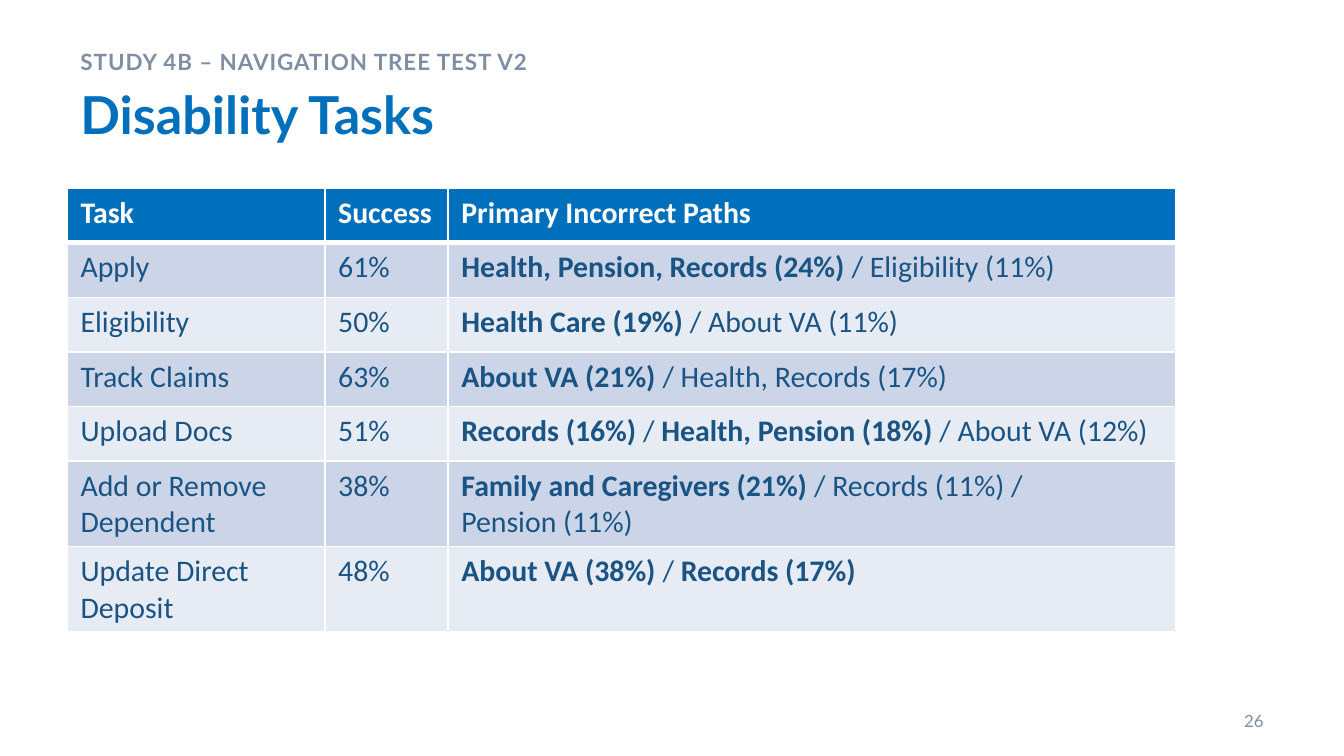
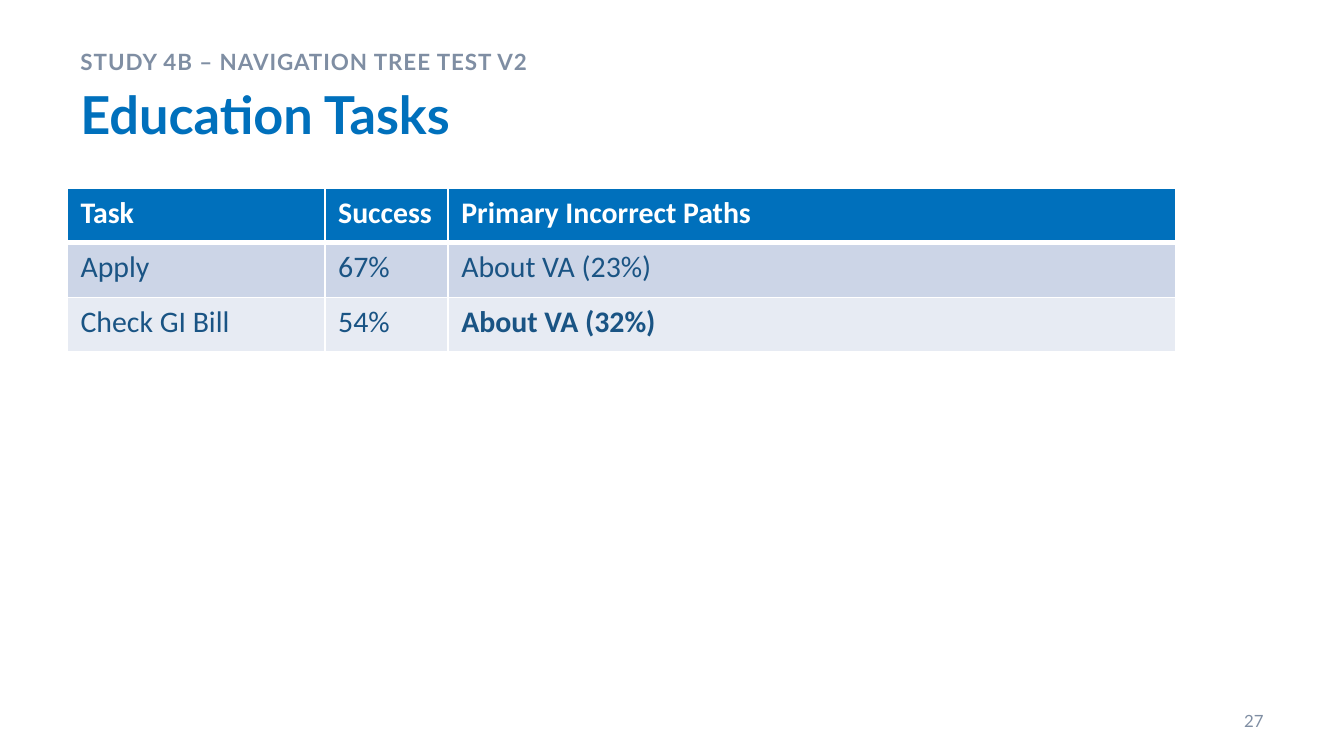
from lxml import etree
from pptx import Presentation
from pptx import util as u
from pptx.dml.color import RGBColor
from pptx.enum import text
from pptx.oxml import ns

BLUE, NAVY, GRAY, WHITE = "0070BC", "1A5484", "7F8EA3", "FFFFFF"
BANDS = ["CCD5E7", "E7EBF3"]
SECTION = "STUDY 4B – NAVIGATION TREE TEST V2"
HEADER = ["Task", "Success", "Primary Incorrect Paths"]
LEFT, WIDTH = 0.5, 8.25
COLUMN_PARTS = [23, 11, 65]
ROW_HEIGHT = 1.22 / 3

# Asterisks enclose the bold part of a cell; a line break starts a paragraph.
PAGES = [
    (26, "Disability Tasks", 3.29, [
        ["Apply", "61%", "*Health, Pension, Records (24%) */ Eligibility (11%)"],
        ["Eligibility", "50%", "*Health Care (19%) */ About VA (11%)"],
        ["Track Claims", "63%", "*About VA (21%) */ Health, Records (17%)"],
        ["Upload Docs", "51%",
         "*Records (16%) */ *Health, Pension (18%) */ About VA (12%)"],
        ["Add or Remove Dependent", "38%",
         "*Family and Caregivers (21%) */ Records (11%) /\nPension (11%)"],
        ["Update Direct Deposit", "48%", "*About VA (38%) */ *Records (17%)*"],
    ]),
    (27, "Education Tasks", 1.22, [
        ["Apply", "67%", "About VA (23%)"],
        ["Check GI Bill", "54%", "*About VA (32%)*"],
    ]),
]


def add_run(para, words, size, color, bold=False, font="Lato"):
    span = para.add_run()
    span.text = words
    span.font.name = font
    span.font.size = u.Pt(size)
    span.font.bold = bold
    span.font.color.rgb = RGBColor.from_string(color)
    return span


def add_box(page, left, top, width, height):
    """Add a wrapping text box and return its text frame."""
    box = page.shapes.add_textbox(*map(u.Inches, (left, top, width, height)))
    box.text_frame.word_wrap = True
    return box.text_frame


deck = Presentation()
deck.slide_width, deck.slide_height = u.Inches(10), u.Inches(10 * 9 / 16)

for number, title, table_height, tasks in PAGES:
    page = deck.slides.add_slide(deck.slide_layouts[6])

    title_frame = add_box(page, LEFT, 0.56, WIDTH, 0.69)
    add_run(title_frame.paragraphs[0], title, 28, BLUE, bold=True)

    rows = [HEADER] + tasks
    frame = page.shapes.add_table(
        len(rows), len(HEADER), u.Inches(LEFT), u.Inches(1.4),
        u.Inches(WIDTH), u.Inches(table_height))
    table = frame.table
    for column, part in zip(table.columns, COLUMN_PARTS):
        column.width = u.Inches(WIDTH * part / sum(COLUMN_PARTS))
    for row in table.rows:
        row.height = u.Inches(ROW_HEIGHT)
    frame.height = u.Inches(table_height)

    for r, row in enumerate(rows):
        is_header = r == 0
        for c, words in enumerate(row):
            cell = table.cell(r, c)
            properties = cell._tc.get_or_add_tcPr()
            for side in "LRTB":
                # A thick rule separates the header from the first task.
                thick = (is_header and side == "B") or (r == 1 and side == "T")
                line = etree.SubElement(properties, ns.qn(f"a:ln{side}"),
                                        w=str(u.Pt(3 if thick else 1)))
                fill = etree.SubElement(line, ns.qn("a:solidFill"))
                etree.SubElement(fill, ns.qn("a:srgbClr"), val=WHITE)
            cell.fill.solid()
            cell.fill.fore_color.rgb = RGBColor.from_string(
                BLUE if is_header else BANDS[(r - 1) % 2])

            for p, line_words in enumerate(words.split("\n")):
                cell_frame = cell.text_frame
                para = cell_frame.add_paragraph() if p else cell_frame.paragraphs[0]
                for i, part in enumerate(line_words.split("*")):
                    if part:
                        add_run(para, part, 16, WHITE if is_header else NAVY,
                                bold=is_header or i % 2 == 1, font="Calibri")

    number_frame = add_box(page, 8.75, 5.21, 0.75, 0.3)
    number_frame.vertical_anchor = text.MSO_ANCHOR.MIDDLE
    para = number_frame.paragraphs[0]
    para.alignment = text.PP_ALIGN.RIGHT
    add_run(para, str(number), 9, GRAY)

    section_frame = add_box(page, LEFT, 0.27, WIDTH, 0.29)
    para = section_frame.paragraphs[0]
    para.line_spacing = 1.2
    para.space_after = u.Pt(6)
    span = add_run(para, SECTION, 12, GRAY, bold=True)
    span._r.get_or_add_rPr().set("spc", "50")

deck.save("out.pptx")
